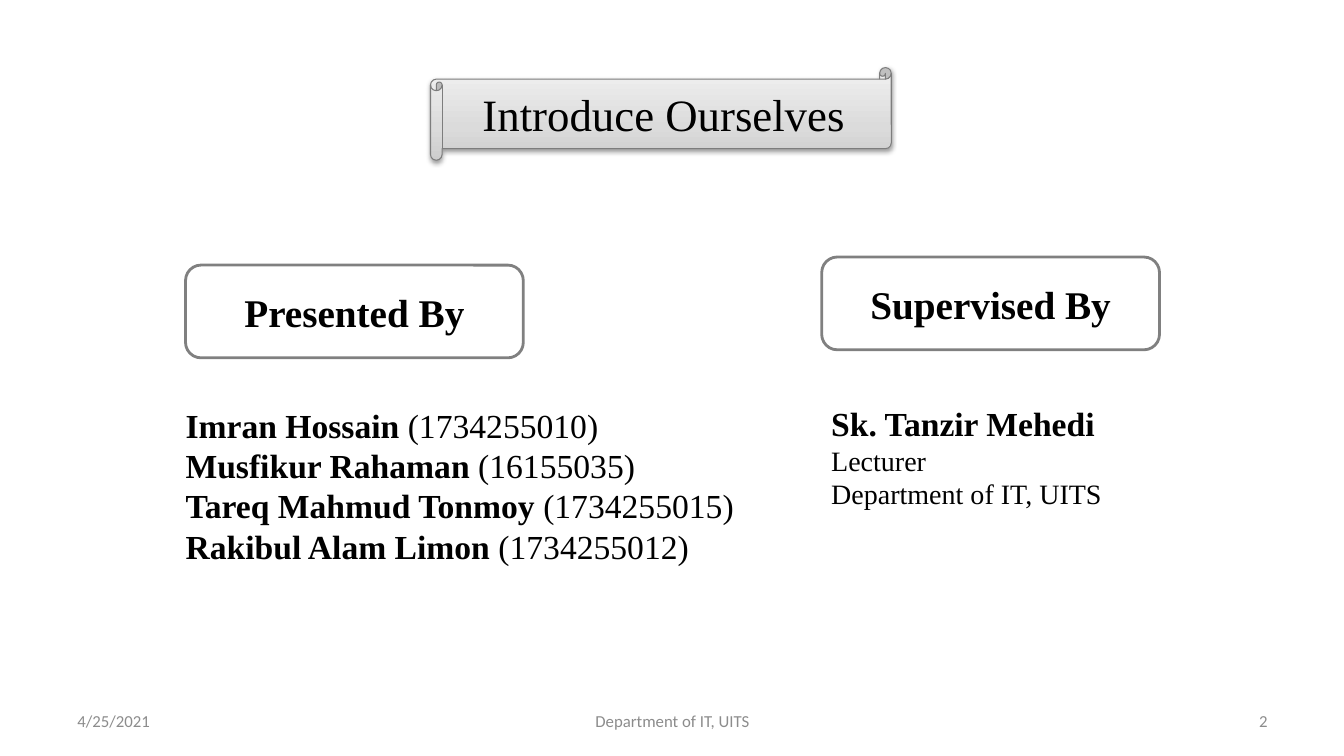
from pptx import Presentation
from pptx.dml.color import RGBColor
from pptx.enum.shapes import MSO_SHAPE
from pptx.enum.text import MSO_ANCHOR, PP_ALIGN
from pptx.oxml import parse_xml
from pptx.oxml.ns import nsdecls, qn
from pptx.util import Inches, Pt

COLORS = {
    "paper": "FFFFFF",
    "ink": "000000",
    "frame": "808080",
    "scroll_edge": "7D7D7D",
    "scroll_dark": "CDCDCD",
    "scroll_mid": "DBDBDB",
    "scroll_light": "F1F1F1",
    "footer": "8C8C8C",
}


class SlideBuilder:
    """Holds the style and the current slide."""

    body_font = "Times New Roman"
    footer_font = "Calibri"

    def __init__(self, slide):
        self.slide = slide

    def color(self, name):
        return RGBColor.from_string(COLORS[name])

    def add_lines(self, box, lines, align, color="ink", font=None):
        """Each line is a list of (text, size, bold) spans."""
        frame = box.text_frame
        frame.word_wrap = True
        frame.vertical_anchor = MSO_ANCHOR.MIDDLE
        for index, spans in enumerate(lines):
            para = frame.paragraphs[0] if index == 0 else frame.add_paragraph()
            para.alignment = align
            for text, size, bold in spans:
                span = para.add_run()
                span.text = text
                span.font.name = font or self.body_font
                span.font.size = Pt(size)
                span.font.bold = bold
                span.font.color.rgb = self.color(color)

    def panel(self, area, lines, align=PP_ALIGN.LEFT, edge=None, width=2,
              kind=MSO_SHAPE.ROUNDED_RECTANGLE):
        box = self.slide.shapes.add_shape(kind, *map(Inches, area))
        box.shadow.inherit = False
        box.fill.solid()
        box.fill.fore_color.rgb = self.color("paper")
        if edge:
            box.line.color.rgb = self.color(edge)
            box.line.width = Pt(width)
        else:
            box.line.fill.background()
        self.add_lines(box, lines, align)
        return box

    def scroll(self, area, text):
        box = self.panel(area, [[(text, 32, False)]], PP_ALIGN.CENTER,
                         "scroll_edge", 0.75, MSO_SHAPE.HORIZONTAL_SCROLL)
        stops = ((0, "scroll_dark"), (35, "scroll_mid"), (100, "scroll_light"))
        stop_xml = "".join(
            f'<a:gs pos="{place * 1000}"><a:srgbClr val="{COLORS[name]}"/></a:gs>'
            for place, name in stops)
        properties = box.element.spPr
        properties.replace(properties.find(qn("a:solidFill")), parse_xml(
            f'<a:gradFill {nsdecls("a")} rotWithShape="1"><a:gsLst>{stop_xml}</a:gsLst>'
            '<a:lin ang="16200000" scaled="0"/></a:gradFill>'))
        properties.find(qn("a:effectLst")).append(parse_xml(
            f'<a:outerShdw {nsdecls("a")} blurRad="40000" dist="20000" dir="5400000" '
            f'rotWithShape="0"><a:srgbClr val="{COLORS["ink"]}">'
            '<a:alpha val="38000"/></a:srgbClr></a:outerShdw>'))

    def heading(self, left, top, text):
        self.panel((left, top, 3.35, 0.92), [[(text, 28, True)]],
                   PP_ALIGN.CENTER, "frame")

    def footer(self, left, width, text, align):
        box = self.slide.shapes.add_textbox(
            *map(Inches, (left, 6.95, width, 0.4)))
        self.add_lines(box, [[(text, 12, False)]], align, "footer", self.footer_font)


def main():
    deck = Presentation()
    deck.slide_width, deck.slide_height = Inches(13.33), Inches(7.5)
    page = SlideBuilder(deck.slides.add_slide(deck.slide_layouts[6]))

    # Title and headings
    page.scroll((4.27, 0.67, 4.57, 0.92), "Introduce Ourselves")
    page.heading(1.84, 2.63, "Presented By")
    page.heading(8.15, 2.55, "Supervised By")

    # Presenters
    presenters = [
        ("Imran Hossain", "1734255010"),
        ("Musfikur Rahaman", "16155035"),
        ("Tareq Mahmud Tonmoy", "1734255015"),
        ("Rakibul Alam Limon", "1734255012"),
    ]
    names = page.panel((1.63, 3.86, 5.96, 2.31), [
        [(f"{name} ", 24, True), (f"({number})", 24, False)]
        for name, number in presenters])
    names.text_frame.margin_bottom = Inches(0.45)

    # Supervisor
    supervisor = page.panel((7.93, 3.55, 5.4, 1.96), [
        [("Sk. Tanzir Mehedi", 24, True)],
        [("Lecturer", 20, False)],
        [("Department of IT, UITS", 20, False)],
    ])
    for para in supervisor.text_frame.paragraphs:
        layout = para._p.get_or_add_pPr()
        layout.set("marL", str(Inches(0.5)))
        layout.set("indent", str(Inches(-0.38)))

    # Footer
    page.footer(0.67, 3.11, "4/25/2021", PP_ALIGN.LEFT)
    page.footer(4.56, 4.22, "Department of IT, UITS", PP_ALIGN.CENTER)
    page.footer(9.56, 3.11, "2", PP_ALIGN.RIGHT)

    deck.save("out.pptx")


if __name__ == "__main__":
    main()
